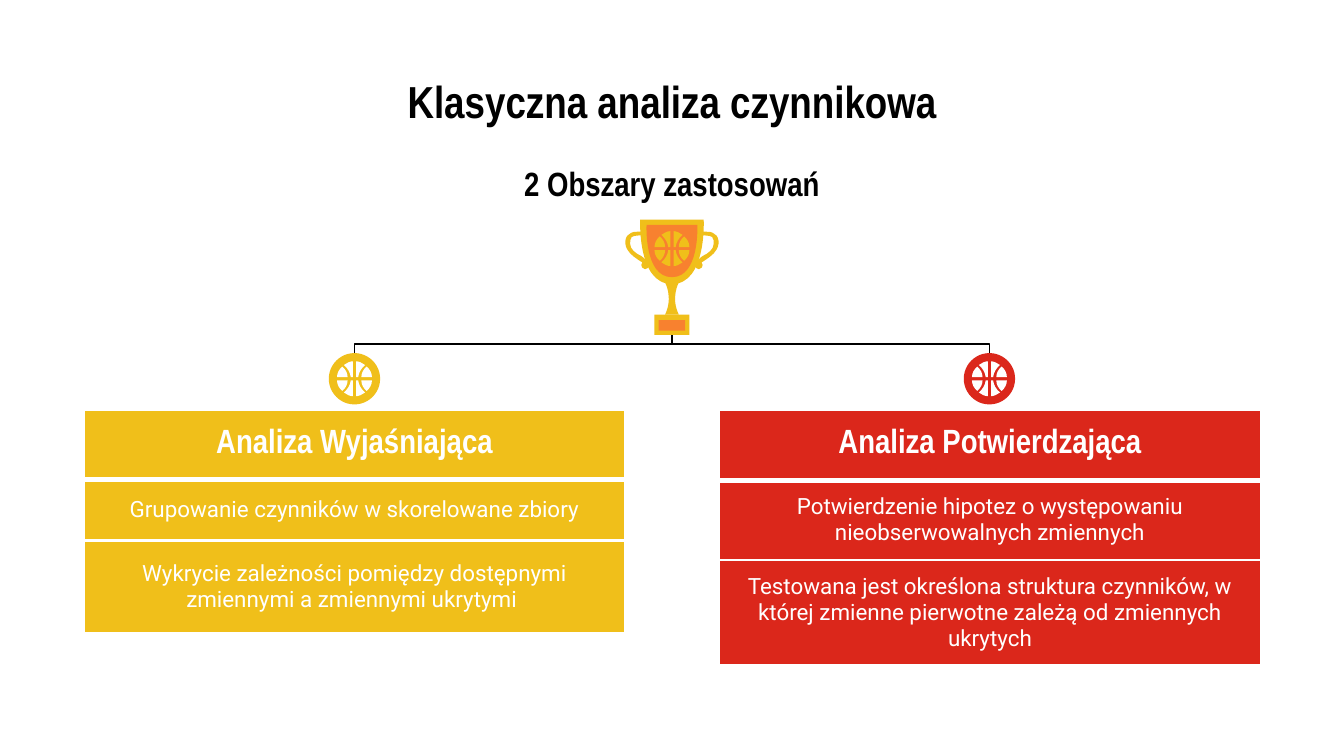
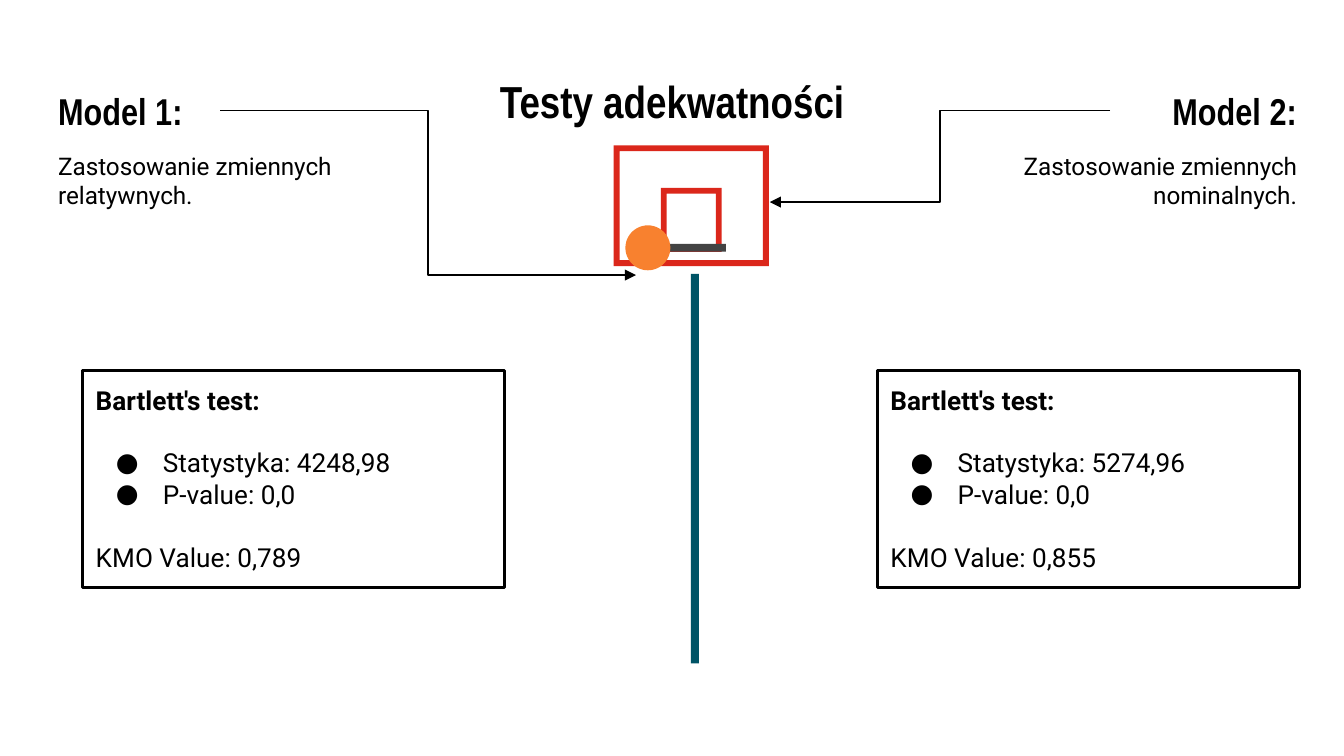
from dataclasses import dataclass, replace
from typing import NamedTuple

from lxml.etree import SubElement
from pptx import Presentation
from pptx.dml.color import RGBColor
from pptx.enum.shapes import MSO_CONNECTOR, MSO_SHAPE
from pptx.enum.text import MSO_ANCHOR, MSO_AUTO_SIZE, PP_ALIGN
from pptx.oxml.ns import qn
from pptx.util import Cm, Pt

# Shared look, lengths in centimetres
COLORS = {"black": "000000", "white": "FFFFFF", "yellow": "F0BF1A", "red": "DB271B",
          "orange": "F8812F", "teal": "005466", "gray": "434343"}
HEADING_FONT, BODY_FONT = "Arial Narrow", "Roboto"
INSET = 0.25
CENTER_X = 12.7
TROPHY_TOP, TROPHY_HEIGHT = 4.15, 2.18
BALL_Y, BALL_SIZE = 7.16, 0.97

@dataclass(frozen=True)
class TextStyle:
    size: int
    font: str = BODY_FONT
    bold: bool = False
    color: str = "black"
    align: PP_ALIGN = PP_ALIGN.LEFT
    anchor: MSO_ANCHOR = MSO_ANCHOR.TOP

class Box(NamedTuple):
    left: float
    top: float
    width: float
    height: float

class Area(NamedTuple):
    left: float
    ball_x: float
    color: str
    rows: tuple
    heights: tuple

class Model(NamedTuple):
    name: str
    name_box: Box
    note: str
    note_box: Box
    align: PP_ALIGN
    arrow: tuple
    result_left: float
    statistic: str
    kmo: str

TITLE = TextStyle(24, HEADING_FONT, True, align=PP_ALIGN.CENTER)
SUBTITLE = replace(TITLE, size=18, anchor=MSO_ANCHOR.MIDDLE)
TABLE_HEAD = replace(SUBTITLE, color="white")
TABLE_BODY = replace(TABLE_HEAD, size=12, font=BODY_FONT, bold=False)
MODEL_NAME = TextStyle(20, HEADING_FONT, True, anchor=MSO_ANCHOR.MIDDLE)
MODEL_NOTE = TextStyle(13)
RESULT = TextStyle(14)

AREAS = (
    Area(1.58, 6.7, "yellow",
         ("Analiza Wyjaśniająca", "Grupowanie czynników w skorelowane zbiory",
          "Wykrycie zależności pomiędzy dostępnymi zmiennymi a zmiennymi ukrytymi "),
         (1.31, 1.16, 1.74)),
    Area(13.59, 18.7, "red",
         ("Analiza Potwierdzająca",
          "Potwierdzenie hipotez o występowaniu nieobserwowalnych zmiennych",
          "Testowana jest określona struktura czynników, w której zmienne pierwotne "
          "zależą od zmiennych ukrytych"),
         (1.33, 1.5, 2)),
)
MODELS = (
    Model("Model 2:", Box(20.98, 1.6, 3.78, 0.97),
          "Zastosowanie zmiennych nominalnych.", Box(16.3, 2.6, 8.46, 2.29),
          PP_ALIGN.RIGHT, (20.98, 2.09, 14.55, 3.82), 16.58, "5274,96", "0,855"),
    Model("Model 1:", Box(0.85, 1.6, 3.33, 0.97),
          "Zastosowanie zmiennych relatywnych.", Box(0.85, 2.6, 7.49, 1.52),
          PP_ALIGN.LEFT, (4.16, 2.09, 12.02, 5.2), 1.56, "4248,98", "0,789"),
)

# Outlines: a start point, then lines (2 numbers) or cubic curves (6 numbers)
BALL_PANELS = (
    ((0.03, 0.33), (0.08, 0.33, 0.15, 0.3, 0.2, 0.26),
     (0.13, 0.2, 0.08, 0.12, 0.07, 0.03), (0.03, 0.03)),
    ((0.23, 0.23), (0.29, 0.18, 0.33, 0.11, 0.33, 0.03),
     (0.13, 0.03), (0.13, 0.11, 0.17, 0.18, 0.23, 0.23)),
)
STEM = ((0, 0.97), (-0.08, 0.97, -0.15, 1.02, -0.15, 1.12),
        (-0.15, 1.14, -0.15, 1.17, -0.13, 1.19), (-0.13, 1.19, 0.03, 1.47, -0.13, 1.8),
        (0.13, 1.8), (-0.03, 1.47, 0.13, 1.19, 0.13, 1.19),
        (0.13, 1.17, 0.15, 1.14, 0.15, 1.12), (0.15, 1.02, 0.08, 0.97, 0, 0.97))
CUP = ((-0.6, 0), (-0.6, 0, -0.66, 1.22, 0, 1.22), (0.66, 1.22, 0.6, 0, 0.6, 0))
CUP_FACE = ((-0.48, 0.1), (-0.48, 0.1, -0.53, 1.09, 0, 1.09), (0.53, 1.09, 0.48, 0.1, 0.48, 0.1))
HANDLE = ((0.64, 0.23), (0.69, 0.23, 0.76, 0.23, 0.81, 0.28),
          (0.86, 0.3, 0.89, 0.38, 0.88, 0.46), (0.86, 0.61, 0.74, 0.69, 0.64, 0.76),
          (0.61, 0.79, 0.58, 0.79, 0.56, 0.81), (0.56, 0.84, 0.58, 0.84, 0.58, 0.86),
          (0.58, 0.88, 0.56, 0.94, 0.51, 0.94), (0.47, 0.94, 0.44, 0.91, 0.43, 0.86),
          (0.46, 0.79, 0.51, 0.74, 0.58, 0.69), (0.69, 0.64, 0.79, 0.56, 0.79, 0.46),
          (0.79, 0.41, 0.79, 0.36, 0.76, 0.33), (0.71, 0.3, 0.61, 0.3, 0.56, 0.3), (0.56, 0.23))

def rgb(color: str) -> RGBColor:
    return RGBColor.from_string(COLORS[color])

# Text
def add_run(paragraph, text: str, style: TextStyle) -> None:
    paragraph.alignment = style.align
    run = paragraph.add_run()
    run.text = text
    run.font.size = Pt(style.size)
    run.font.name = style.font
    run.font.bold = style.bold
    run.font.color.rgb = rgb(style.color)

def fill_text(holder, text: str, style: TextStyle) -> None:
    """Write the first paragraph of a text frame or table cell."""
    holder.vertical_anchor = style.anchor
    holder.margin_left = holder.margin_right = Cm(INSET)
    holder.margin_top = holder.margin_bottom = Cm(INSET)
    frame = getattr(holder, "text_frame", holder)
    frame.word_wrap = True
    frame.auto_size = MSO_AUTO_SIZE.NONE
    add_run(frame.paragraphs[0], text, style)

def add_label(slide, box: Box, text: str, style: TextStyle) -> None:
    fill_text(slide.shapes.add_textbox(*map(Cm, box)).text_frame, text, style)

def add_titled_slide(presentation, title: str):
    slide = presentation.slides.add_slide(presentation.slide_layouts[5])
    shape = slide.shapes.title
    shape.left, shape.top, shape.width, shape.height = map(Cm, (1.27, 1.15, 22.86, 1.6))
    fill_text(shape.text_frame, title, TITLE)
    return slide

# Shapes
def paint(shape, color: str) -> None:
    shape.shadow.inherit = False
    shape.fill.solid()
    shape.fill.fore_color.rgb = rgb(color)
    shape.line.fill.background()

def add_filled(shapes, kind: MSO_SHAPE, box: Box, color: str):
    shape = shapes.add_shape(kind, *map(Cm, box))
    paint(shape, color)
    return shape

def add_outline(shapes, outline: tuple, x: float, y: float, color: str,
                flip_x: int = 1, flip_y: int = 1) -> None:
    segments = [[(Cm(x + flip_x * dx), Cm(y + flip_y * dy))
                 for dx, dy in zip(segment[::2], segment[1::2])] for segment in outline]
    builder = shapes.build_freeform(*segments[0][-1], scale=1.0)
    builder.add_line_segments([segment[-1] for segment in segments[1:]], close=True)
    shape = builder.convert_to_shape()
    # Turn straight pieces into curves
    pieces = list(shape._element.spPr.iter(qn("a:lnTo")))
    for piece, segment in zip(pieces, segments[1:]):
        if len(segment) == 3:
            curve = SubElement(piece.getparent(), qn("a:cubicBezTo"))
            piece.getparent().replace(piece, curve)
            for px, py in segment:
                SubElement(curve, qn("a:pt"), x=str(px - shape.left), y=str(py - shape.top))
    paint(shape, color)

def add_elbow(slide, ends: tuple, arrow: bool = False, rotation: int = 0) -> None:
    connector = slide.shapes.add_connector(MSO_CONNECTOR.ELBOW, *map(Cm, ends))
    connector.line.color.rgb = rgb("black")
    connector.line.width = Pt(0.75)
    properties = connector._element.spPr
    if arrow:
        SubElement(properties.find(qn("a:ln")), qn("a:tailEnd"), type="triangle")
    if rotation:
        properties.find(qn("a:xfrm")).set("rot", str(rotation * 60000))
    SubElement(properties, qn("a:effectLst"))

# Areas of use
def add_ball_panels(slide, x: float, y: float, color: str) -> None:
    shapes = slide.shapes.add_group_shape().shapes
    for flip_x in (-1, 1):
        for flip_y in (-1, 1):
            for panel in BALL_PANELS:
                add_outline(shapes, panel, x, y, color, flip_x, flip_y)

def add_trophy(slide) -> None:
    band = Box(CENTER_X - 0.56, TROPHY_TOP + 0.32, 1.12, 0.06)
    add_filled(slide.shapes, MSO_SHAPE.ROUNDED_RECTANGLE, band, "orange")
    shapes = slide.shapes.add_group_shape().shapes
    add_outline(shapes, STEM, CENTER_X, TROPHY_TOP, "yellow")
    for half, top, height, color in ((0.33, 1.8, 0.38, "yellow"), (0.25, 1.9, 0.2, "orange")):
        box = Box(CENTER_X - half, TROPHY_TOP + top, 2 * half, height)
        add_filled(shapes, MSO_SHAPE.RECTANGLE, box, color)
    add_outline(shapes, CUP, CENTER_X, TROPHY_TOP, "yellow")
    add_outline(shapes, CUP_FACE, CENTER_X, TROPHY_TOP, "orange")
    for side in (-1, 1):
        add_outline(shapes, HANDLE, CENTER_X, TROPHY_TOP, "yellow", side)
    add_ball_panels(slide, CENTER_X, TROPHY_TOP + 0.55, "yellow")

def add_branch(slide, ball_x: float) -> None:
    """Join a ball to the trophy by an elbow turned a quarter."""
    start, end = BALL_Y - BALL_SIZE / 2, TROPHY_TOP + TROPHY_HEIGHT
    x, y = (ball_x + CENTER_X) / 2, (start + end) / 2
    side = 1 if ball_x < CENTER_X else -1
    dx, dy = side * (start - end) / 2, abs(CENTER_X - ball_x) / 2
    add_elbow(slide, (x - dx, y - dy, x + dx, y + dy), rotation=180 + 90 * side)

def add_cell_borders(cell, top: float, bottom: float) -> None:
    properties = cell._tc.get_or_add_tcPr()
    for tag, width in (("a:lnL", 1.5), ("a:lnR", 1.5), ("a:lnT", top), ("a:lnB", bottom)):
        line = SubElement(properties, qn(tag), w=str(Pt(width)))
        SubElement(SubElement(line, qn("a:solidFill")), qn("a:srgbClr"), val=COLORS["white"])

def add_area(slide, area: Area) -> None:
    add_branch(slide, area.ball_x)
    radius = BALL_SIZE / 2
    box = Box(area.ball_x - radius, BALL_Y - radius, BALL_SIZE, BALL_SIZE)
    add_filled(slide.shapes, MSO_SHAPE.OVAL, box, area.color)
    add_ball_panels(slide, area.ball_x, BALL_Y, "white")
    frame = Box(area.left, 7.75, 10.24, sum(area.heights))
    table = slide.shapes.add_table(len(area.rows), 1, *map(Cm, frame)).table
    for index, (text, height) in enumerate(zip(area.rows, area.heights)):
        table.rows[index].height = Cm(height)
        cell = table.cell(index, 0)
        add_cell_borders(cell, 3 if index == 1 else 1.5, 3 if index == 0 else 1.5)
        cell.fill.solid()
        cell.fill.fore_color.rgb = rgb(area.color)
        fill_text(cell, text, TABLE_BODY if index else TABLE_HEAD)

# Adequacy tests
def add_hoop(slide) -> None:
    shapes = slide.shapes.add_group_shape().shapes
    add_filled(shapes, MSO_SHAPE.RECTANGLE, Box(13.06, 5.18, 0.15, 7.36), "teal")
    for box in (Box(11.6, 2.75, 2.93, 2.28), Box(12.49, 3.55, 1.15, 1.21)):
        frame = add_filled(shapes, MSO_SHAPE.FRAME, box, "red")
        frame.adjustments[0] = 0.11 / min(box.width, box.height)
    add_filled(shapes, MSO_SHAPE.RECTANGLE, Box(12.4, 4.61, 1.32, 0.15), "gray")
    add_filled(shapes, MSO_SHAPE.OVAL, Box(11.82, 4.26, 0.85, 0.85), "orange")

def add_bullet(paragraph) -> None:
    properties = paragraph._p.get_or_add_pPr()
    properties.set("marL", str(Cm(1.27)))
    properties.set("indent", str(Cm(-0.89)))
    SubElement(SubElement(properties, qn("a:buClr")), qn("a:srgbClr"), val=COLORS["black"])
    SubElement(properties, qn("a:buFont"), typeface=BODY_FONT)
    SubElement(properties, qn("a:buChar"), char="●")

def add_model(slide, model: Model) -> None:
    add_label(slide, model.name_box, model.name, replace(MODEL_NAME, align=model.align))
    add_label(slide, model.note_box, model.note, replace(MODEL_NOTE, align=model.align))
    add_elbow(slide, model.arrow, arrow=True)
    box = Box(model.result_left, 7.01, 7.98, 4.1)
    shape = slide.shapes.add_shape(MSO_SHAPE.RECTANGLE, *map(Cm, box))
    shape.shadow.inherit = False
    shape.fill.background()
    shape.line.color.rgb = rgb("black")
    shape.line.width = Pt(1.5)
    fill_text(shape.text_frame, "Bartlett's test:", replace(RESULT, bold=True))
    for text, bulleted, gap in ((f"Statystyka: {model.statistic}", True, 16.8),
                                ("P-value: 0,0", True, 0),
                                (f"KMO Value: {model.kmo}", False, 16.8)):
        paragraph = shape.text_frame.add_paragraph()
        paragraph.space_before = Pt(gap)
        add_run(paragraph, text, RESULT)
        if bulleted:
            add_bullet(paragraph)

def main() -> None:
    presentation = Presentation()
    presentation.slide_width, presentation.slide_height = Cm(25.4), Cm(14.29)

    # Slide 1
    slide = add_titled_slide(presentation, "Klasyczna analiza czynnikowa")
    add_label(slide, Box(5.18, 2.97, 15.04, 0.97), "2 Obszary zastosowań", SUBTITLE)
    add_trophy(slide)
    for area in AREAS:
        add_area(slide, area)

    # Slide 2
    slide = add_titled_slide(presentation, "Testy adekwatności")
    add_hoop(slide)
    for model in MODELS:
        add_model(slide, model)
    presentation.save("out.pptx")

if __name__ == "__main__":
    main()
